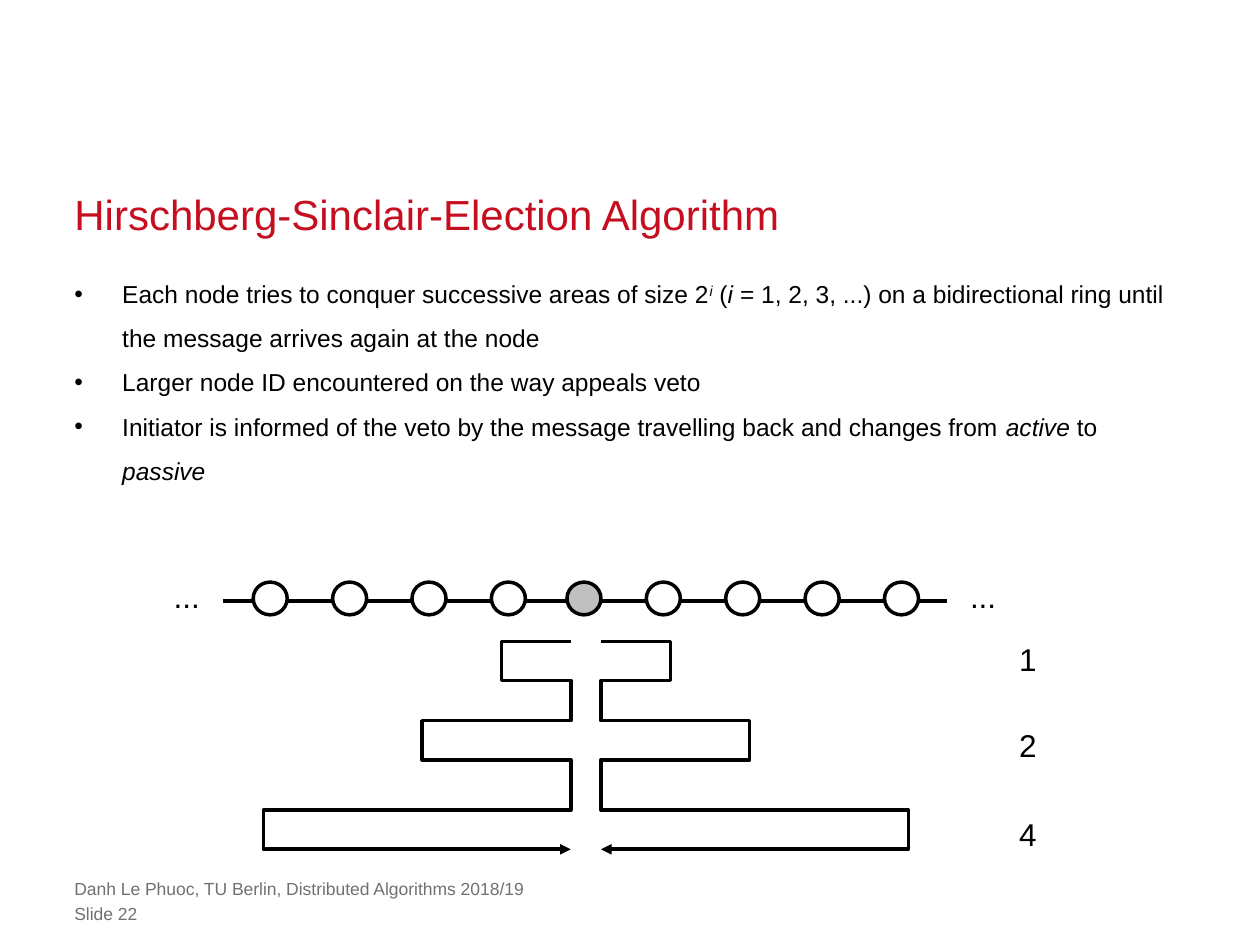
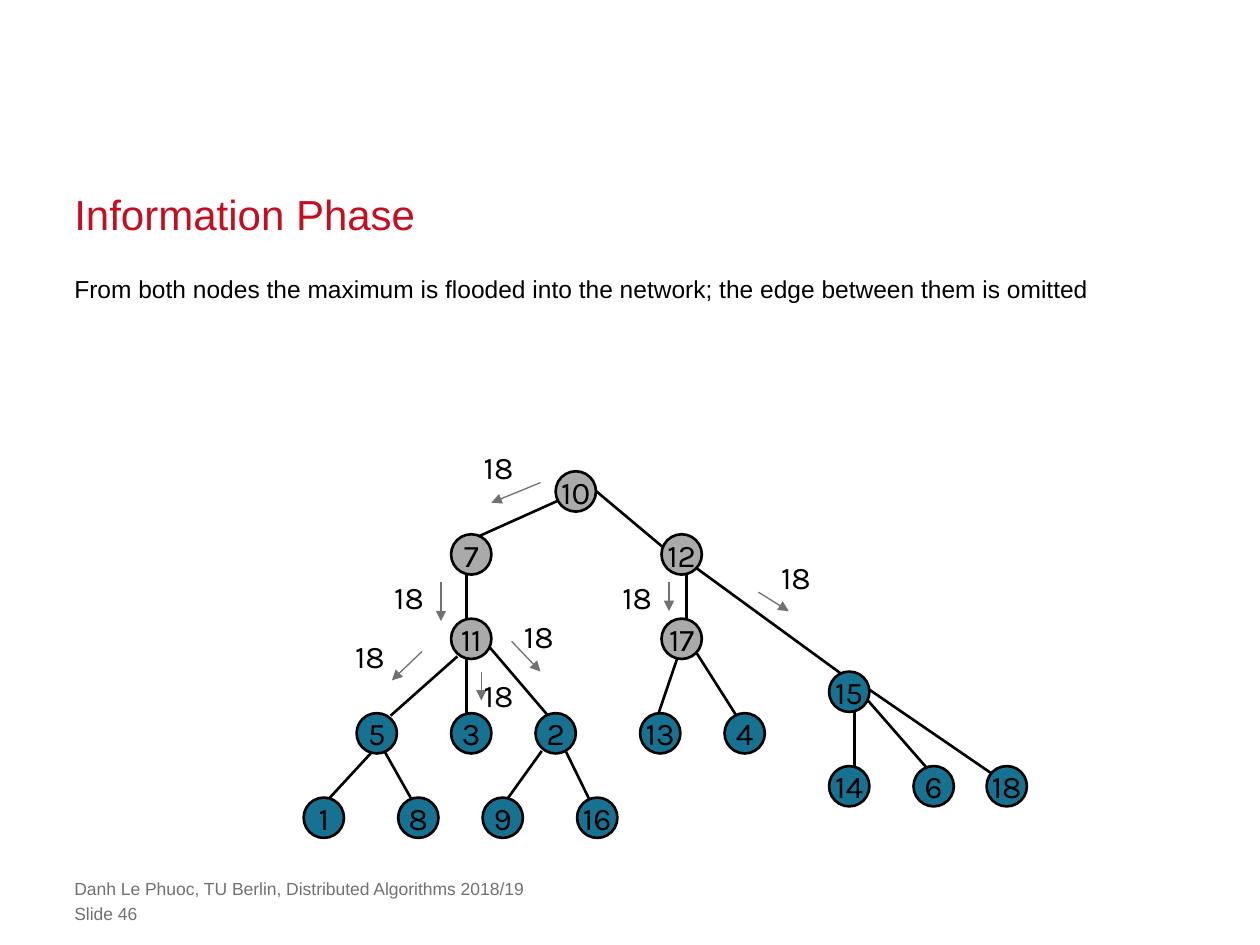
"""Build two slides on distributed election algorithms."""
import lxml.etree
import pptx
import pptx.dml.color
import pptx.enum.shapes
import pptx.enum.text
import pptx.oxml.ns
import pptx.util

Inches, Pt = pptx.util.Inches, pptx.util.Pt
ALIGN = pptx.enum.text.PP_ALIGN
ANCHOR = pptx.enum.text.MSO_ANCHOR
AUTO = pptx.enum.text.MSO_AUTO_SIZE
SHAPE = pptx.enum.shapes.MSO_SHAPE
CONNECTOR = pptx.enum.shapes.MSO_CONNECTOR

RED, BLACK, WHITE, GRAY = "C50E1F", "000000", "FFFFFF", "717171"
SILVER, INFORMED, WAITING = "C0C0C0", "AAAAAA", "177191"
FOOTER = "Danh Le Phuoc, TU Berlin, Distributed Algorithms 2018/19"
LEFT = 0.59

TITLE = {"size": Pt(24), "name": "Arial"}
BODY = {"size": Pt(14), "name": "Arial"}
SMALL = {"size": Pt(10), "name": "Arial"}
LABEL = {"size": Pt(18), "name": "Arial"}
NODE = {"size": Pt(18), "name": "Karla"}

NO_MARGIN = dict.fromkeys(
    ("margin_left", "margin_top", "margin_right", "margin_bottom"), 0)
FLUSH = {**NO_MARGIN, "word_wrap": True, "auto_size": AUTO.NONE}
TIGHT = {"word_wrap": False, "auto_size": AUTO.SHAPE_TO_FIT_TEXT}
CENTRED = {"word_wrap": False, "vertical_anchor": ANCHOR.MIDDLE}

RING_BULLETS = [
    [("Each node tries to conquer successive areas of size 2", ""),
     ("i", "sup"), (" (", ""), ("i ", "italic"),
     ("= 1, 2, 3, ...) on a bidirectional ring until "
      "the message arrives again at the node", "")],
    [("Larger node ID encountered on the way appeals veto", "")],
    [("Initiator is informed of the veto by the message travelling back "
      "and changes from ", ""),
     ("active", "italic"), (" to ", ""), ("passive", "italic")],
]
FLOOD_TEXT = [[("From both nodes the maximum is flooded into the network; "
                "the edge between them is omitted", "")]]

ROUTE = [(0.12, 5.09), (0.67, 5.09), (0.67, 5.4), (0.12, 5.4),
         (0.12, 5.72), (1.3, 5.72), (1.3, 6.03), (0.12, 6.03),
         (0.12, 6.43), (2.56, 6.43), (2.56, 6.74), (0.12, 6.74)]
ROUTE_AXIS = 4.65

TREE_ROWS = [
    (3.74, INFORMED, [("10", 4.41)]),
    (4.24, INFORMED, [("7", 3.58), ("12", 5.25)]),
    (4.91, INFORMED, [("11", 3.58), ("17", 5.25)]),
    (5.33, WAITING, [("15", 6.58)]),
    (5.66, WAITING, [("5", 2.83), ("3", 3.58), ("2", 4.25),
                     ("13", 5.08), ("4", 5.75)]),
    (6.08, WAITING, [("14", 6.58), ("6", 7.25), ("18", 7.83)]),
    (6.33, WAITING, [("1", 2.41), ("8", 3.16), ("9", 3.83), ("16", 4.58)]),
]
TREE_EDGES = [
    (4.71, 3.88, 5.27, 4.35), (4.46, 3.96, 3.77, 4.27),
    (3.7, 4.55, 3.7, 4.93), (5.45, 4.55, 5.45, 4.93),
    (3.63, 5.21, 3.1, 5.68), (3.7, 5.21, 3.7, 5.68),
    (3.88, 5.13, 4.35, 5.68), (5.38, 5.21, 5.19, 5.77),
    (5.47, 5.09, 5.87, 5.72), (5.46, 4.46, 6.68, 5.35),
    (2.96, 5.96, 2.6, 6.35), (3.05, 5.96, 3.27, 6.35),
    (4.3, 5.96, 4.02, 6.35), (4.45, 5.88, 4.68, 6.35),
    (6.78, 5.63, 6.78, 6.18), (6.88, 5.55, 7.43, 6.18),
    (6.88, 5.46, 7.93, 6.18),
]
MESSAGES = [
    ((4.29, 3.83, 3.9, 3.99), (3.74, 3.51)),
    ((3.5, 4.62, 3.5, 4.93), (3.03, 4.54)),
    ((3.35, 5.17, 3.11, 5.4), (2.72, 5.01)),
    ((3.82, 5.33, 3.82, 5.56), (3.74, 5.32)),
    ((4.06, 5.09, 4.29, 5.33), (4.06, 4.85)),
    ((6.02, 4.7, 6.26, 4.85), (6.1, 4.38)),
    ((5.31, 4.62, 5.31, 4.85), (4.84, 4.54)),
]


def color(hex_string):
    """Turn a hex string into a colour."""
    return pptx.dml.color.RGBColor.from_string(hex_string)


def apply(target, values):
    """Set attributes of an object from a dict."""
    for name, value in values.items():
        setattr(target, name, value)


def place(sp, left, top, width, height):
    """Move and size a shape, in inches."""
    apply(sp, {"left": Inches(left), "top": Inches(top),
               "width": Inches(width), "height": Inches(height)})


def add_run(p, text, font, hex_string=BLACK, style=""):
    """Add a formatted run, plain, italic or superscript."""
    r = p.add_run()
    r.text = text
    apply(r.font, {**font, "italic": bool(style)})
    r.font.color.rgb = color(hex_string)
    if style == "sup":
        r._r.get_or_add_rPr().set("baseline", "30000")


def add_text(s, text, box, font, frame, hex_string=BLACK):
    """Add a text box with one line."""
    tf = s.shapes.add_textbox(*map(Inches, box)).text_frame
    apply(tf, frame)
    add_run(tf.paragraphs[0], text, font, hex_string)


def set_outline(sp, hex_string, width, arrow=False):
    """Format a line and give it an arrowhead if wanted."""
    sp.line.color.rgb = color(hex_string)
    sp.line.width = Pt(width)
    if arrow:
        lxml.etree.SubElement(sp.line._get_or_add_ln(),
                              pptx.oxml.ns.qn("a:tailEnd"), type="triangle")


def add_line(s, ends, hex_string, width, arrow=False):
    """Add a straight connector between two points."""
    sp = s.shapes.add_connector(CONNECTOR.STRAIGHT, *map(Inches, ends))
    set_outline(sp, hex_string, width, arrow)
    lxml.etree.SubElement(sp._element.spPr, pptx.oxml.ns.qn("a:effectLst"))


def add_circle(s, box, fill, width, text=""):
    """Add a node, with its number if it has one."""
    sp = s.shapes.add_shape(SHAPE.OVAL, *map(Inches, box))
    sp.shadow.inherit = False
    sp.fill.solid()
    sp.fill.fore_color.rgb = color(fill)
    set_outline(sp, BLACK, width)
    if text:
        apply(sp.text_frame, CENTRED)
        p = sp.text_frame.paragraphs[0]
        p.alignment = ALIGN.CENTER
        add_run(p, text, NODE)


def add_route(s, side):
    """Add the message route on one side of the initiator."""
    points = [(Inches(ROUTE_AXIS + side * x), Inches(y)) for x, y in ROUTE]
    builder = s.shapes.build_freeform(*points[0])
    builder.add_line_segments(points[1:], close=False)
    sp = builder.convert_to_shape()
    sp.shadow.inherit = False
    sp.fill.background()
    set_outline(sp, BLACK, 2, arrow=True)


def fill_body(sp, paragraphs, spacing, bullet):
    """Fill the body placeholder with hanging paragraphs."""
    place(sp, LEFT, 2.1, 8.82, 4.45)
    tf = sp.text_frame
    apply(tf, FLUSH)
    for i, runs in enumerate(paragraphs):
        p = tf.add_paragraph() if i else tf.paragraphs[0]
        apply(p, {"line_spacing": spacing, "space_before": Pt(0)})
        pPr = p._p.get_or_add_pPr()
        pPr.set("marL", str(Inches(0.38)))
        pPr.set("indent", str(-Inches(0.38)))
        if bullet:
            lxml.etree.SubElement(pPr, pptx.oxml.ns.qn("a:buChar"), char="•")
        else:
            lxml.etree.SubElement(pPr, pptx.oxml.ns.qn("a:buNone"))
        for text, style in runs:
            add_run(p, text, BODY, style=style)


def add_slide(prs, title, number, paragraphs, spacing, bullet):
    """Add a slide with title, body and footer."""
    s = prs.slides.add_slide(prs.slide_layouts[1])
    place(s.shapes.title, LEFT, 1.48, 8.82, 0.42)
    tf = s.shapes.title.text_frame
    apply(tf, {**FLUSH, "vertical_anchor": ANCHOR.BOTTOM})
    p = tf.paragraphs[0]
    apply(p, {"alignment": ALIGN.LEFT, "line_spacing": Pt(30)})
    add_run(p, title, TITLE, RED)
    fill_body(s.placeholders[1], paragraphs, spacing, bullet)
    for text, top in ((FOOTER, 6.97), (f"Slide {number}", 7.17)):
        add_text(s, text, (LEFT, top, 7.24, 0.17), SMALL, FLUSH, GRAY)
    return s


def draw_ring(s):
    """Draw the ring section and the growing message routes."""
    add_line(s, (1.77, 4.77, 7.52, 4.77), BLACK, 2)
    for i in range(9):
        left = 2.01 + 0.63 * i - (0.03 if i >= 4 else 0)
        add_circle(s, (left, 4.62, 0.27, 0.26), SILVER if i == 4 else WHITE, 2)
    for side in (1, -1):
        add_route(s, side)
    for text, top in (("1", 5.03), ("2", 5.71), ("4", 6.42)):
        add_text(s, text, (7.99, top, 0.34, 0.4), LABEL, TIGHT)
    for left in (1.28, 7.6):
        add_text(s, "...", (left, 4.53, 0.41, 0.4), LABEL, TIGHT)


def draw_tree(s):
    """Draw the tree and the messages flooding it."""
    for ends in TREE_EDGES:
        add_line(s, ends, BLACK, 1.5)
    for top, fill, nodes in TREE_ROWS:
        for text, left in nodes:
            add_circle(s, (left, top, 0.32, 0.32), fill, 1.5, text)
    for ends, corner in MESSAGES:
        add_line(s, ends, GRAY, 0.75, arrow=True)
        add_text(s, "18", (*corner, 0.48, 0.4), NODE, TIGHT)


def main():
    """Build and save the presentation."""
    prs = pptx.Presentation()
    apply(prs, {"slide_width": Inches(10), "slide_height": Inches(7.5)})
    draw_ring(add_slide(prs, "Hirschberg-Sinclair-Election Algorithm", 22,
                        RING_BULLETS, 1.5, True))
    draw_tree(add_slide(prs, "Information Phase", 46,
                        FLOOD_TEXT, Pt(22), False))
    prs.save("out.pptx")


if __name__ == "__main__":
    main()
